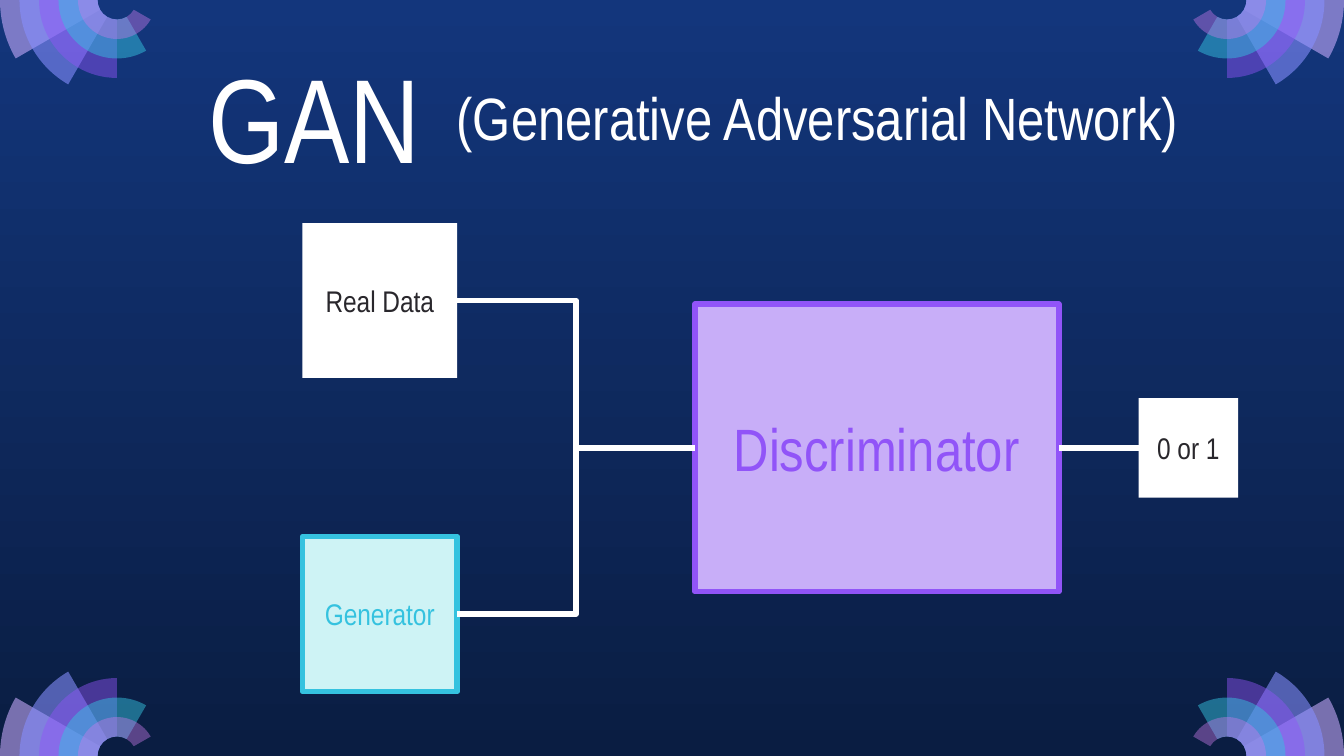
import math
from typing import NamedTuple

from lxml import etree
from pptx import Presentation
from pptx.dml.color import RGBColor
from pptx.enum import shapes, text
from pptx.oxml import ns
from pptx.util import Pt

WHITE = RGBColor(0xFF, 0xFF, 0xFF)
DARK = RGBColor(0x29, 0x27, 0x2C)
PURPLE = RGBColor(0x91, 0x54, 0xF8)
LILAC = RGBColor(0xC8, 0xAE, 0xF8)
CYAN = RGBColor(0x35, 0xC2, 0xDF)
PALE_CYAN = RGBColor(0xCE, 0xF3, 0xF5)
SKY = RGBColor(0x13, 0x36, 0x7C)
NIGHT = RGBColor(0x0A, 0x1D, 0x42)
PALE_VIOLET = RGBColor(0xC8, 0xAC, 0xFD)
PERIWINKLE = RGBColor(0x87, 0x8F, 0xFF)
ORCHID = RGBColor(0xCA, 0x7B, 0xEB)

FONT = "Arial Narrow"
WIDTH, HEIGHT = 720, 405
LINE_WIDTH = 3
INSET = 7.2
RING = 10.44  # width of one ring in a corner fan
STEP = 30  # degrees by which each petal opens further
LEFT, RIGHT = 1, 3  # connection sites of a rectangle


class Petal(NamedTuple):
    rings: int  # outer radius, in rings
    sweep: int  # degrees
    color: RGBColor
    opacity: int  # percent


class Box(NamedTuple):
    label: str
    left: float
    top: float
    width: float
    height: float
    size: int
    fill: RGBColor
    color: RGBColor
    outlined: bool


class Link(NamedTuple):
    kind: shapes.MSO_CONNECTOR
    source: str
    target: str


PETALS = [
    Petal(6, 30, PALE_VIOLET, 58),
    Petal(5, 60, PERIWINKLE, 58),
    Petal(4, 90, PURPLE, 46),
    Petal(3, 120, CYAN, 49),
    Petal(2, 150, ORCHID, 42),
]
BOXES = [
    Box("Generator", 162, 287.5, 83, 83, 16, PALE_CYAN, CYAN, True),
    Box("Discriminator", 372.25, 163, 195, 154, 32, LILAC, PURPLE, True),
    Box("Real Data", 162, 119.5, 83, 83, 16, WHITE, DARK, False),
    Box("0 or 1", 610, 213.35, 53.3, 53.3, 16, WHITE, DARK, False),
]
LINKS = [
    Link(shapes.MSO_CONNECTOR.ELBOW, "Real Data", "Discriminator"),
    Link(shapes.MSO_CONNECTOR.ELBOW, "Generator", "Discriminator"),
    Link(shapes.MSO_CONNECTOR.STRAIGHT, "Discriminator", "0 or 1"),
]


def make_arc(radius: float, start: int, sweep: int):
    arc = etree.Element(ns.qn("a:arcTo"))
    arc.set("wR", str(Pt(radius)))
    arc.set("hR", str(Pt(radius)))
    arc.set("stAng", str(start % 360 * 60000))
    arc.set("swAng", str(sweep * 60000))
    return arc


def draw_petal(slide, petal: Petal, at_right: bool, at_bottom: bool) -> None:
    """Draw a ring sector that starts at the slide's side and opens inwards."""
    center = 6 * RING
    radius = petal.rings * RING

    def point(distance: float, degrees: int) -> tuple[int, int]:
        x = center - distance * math.cos(math.radians(degrees))
        y = distance * math.sin(math.radians(degrees))
        return (Pt(WIDTH - x if at_right else x), Pt(HEIGHT - y if at_bottom else y))

    angles = range(0, petal.sweep + 1, STEP)
    outline = [point(radius, angle) for angle in angles]
    outline += [point(RING, angle) for angle in reversed(angles)]
    builder = slide.shapes.build_freeform(*outline[0], scale=1.0)
    builder.add_line_segments(outline[1:], close=True)
    shape = builder.convert_to_shape()

    # Turn the chords of the outer and inner edges into one arc each.
    start = 0 if at_right else 180
    sweep = petal.sweep if at_right != at_bottom else -petal.sweep
    chords = shape._element.spPr.findall(".//" + ns.qn("a:lnTo"))
    side = chords.pop(len(angles) - 1)
    side.addprevious(make_arc(radius, start, sweep))
    side.addnext(make_arc(RING, start + sweep, -sweep))
    for chord in chords:
        chord.getparent().remove(chord)

    shape.shadow.inherit = False
    shape.line.fill.background()
    shape.fill.solid()
    shape.fill.fore_color.rgb = petal.color
    color = shape._element.spPr.find(".//" + ns.qn("a:srgbClr"))
    etree.SubElement(color, ns.qn("a:alpha"), val=str(petal.opacity * 1000))


def style_line(shape, color: RGBColor) -> None:
    """Give a shape or connector a solid line with round joins."""
    shape.line.color.rgb = color
    shape.line.width = Pt(LINE_WIDTH)
    etree.SubElement(shape.line._get_or_add_ln(), ns.qn("a:round"))


def write(shape, words: str, size: int, color: RGBColor,
          align: text.PP_ALIGN, anchor: text.MSO_ANCHOR) -> None:
    frame = shape.text_frame
    frame.word_wrap = True
    frame.vertical_anchor = anchor
    frame.margin_left = frame.margin_right = Pt(INSET)
    frame.margin_top = frame.margin_bottom = Pt(INSET)
    frame.text = words
    paragraph = frame.paragraphs[0]
    paragraph.alignment = align
    paragraph.font.name = FONT
    paragraph.font.size = Pt(size)
    paragraph.font.color.rgb = color


def draw_box(slide, box: Box):
    shape = slide.shapes.add_shape(
        shapes.MSO_SHAPE.RECTANGLE,
        Pt(box.left), Pt(box.top), Pt(box.width), Pt(box.height))
    shape.shadow.inherit = False
    shape.fill.solid()
    shape.fill.fore_color.rgb = box.fill
    if box.outlined:
        style_line(shape, box.color)
    else:
        shape.line.fill.background()
    write(shape, box.label, box.size, box.color,
          text.PP_ALIGN.CENTER, text.MSO_ANCHOR.MIDDLE)
    return shape


def draw_link(slide, kind: shapes.MSO_CONNECTOR, source, target) -> None:
    """Join the right side of source to the left side of target."""
    connector = slide.shapes.add_connector(
        kind,
        source.left + source.width, source.top + source.height // 2,
        target.left, target.top + target.height // 2)
    connector.begin_connect(source, RIGHT)
    connector.end_connect(target, LEFT)
    style_line(connector, WHITE)
    etree.SubElement(connector._element.spPr, ns.qn("a:effectLst"))


def draw_headings(slide) -> None:
    title = slide.shapes.title
    title.left, title.top, title.width, title.height = Pt(104.4), Pt(16.5), Pt(140.4), Pt(92)
    subtitle = slide.shapes.add_textbox(Pt(237.6), Pt(36), Pt(464.4), Pt(53.3))
    for shape, words, size in (
        (title, "GAN", 64),
        (subtitle, "(Generative Adversarial Network)", 32),
    ):
        write(shape, words, size, WHITE, text.PP_ALIGN.LEFT, text.MSO_ANCHOR.TOP)
        shape.text_frame.auto_size = text.MSO_AUTO_SIZE.SHAPE_TO_FIT_TEXT


def paint_background(slide) -> None:
    fill = slide.background.fill
    fill.gradient()
    fill.gradient_angle = 270
    for stop, position, color in zip(fill.gradient_stops, (0, 1), (SKY, NIGHT)):
        stop.position = position
        stop.color.rgb = color


def main() -> None:
    presentation = Presentation()
    presentation.slide_width, presentation.slide_height = Pt(WIDTH), Pt(HEIGHT)
    slide = presentation.slides.add_slide(presentation.slide_layouts[5])
    paint_background(slide)
    for at_right, at_bottom in ((False, True), (True, False), (True, True), (False, False)):
        for petal in PETALS:
            draw_petal(slide, petal, at_right, at_bottom)
    draw_headings(slide)
    drawn = {box.label: draw_box(slide, box) for box in BOXES}
    for link in LINKS:
        draw_link(slide, link.kind, drawn[link.source], drawn[link.target])
    presentation.save("out.pptx")


if __name__ == "__main__":
    main()
